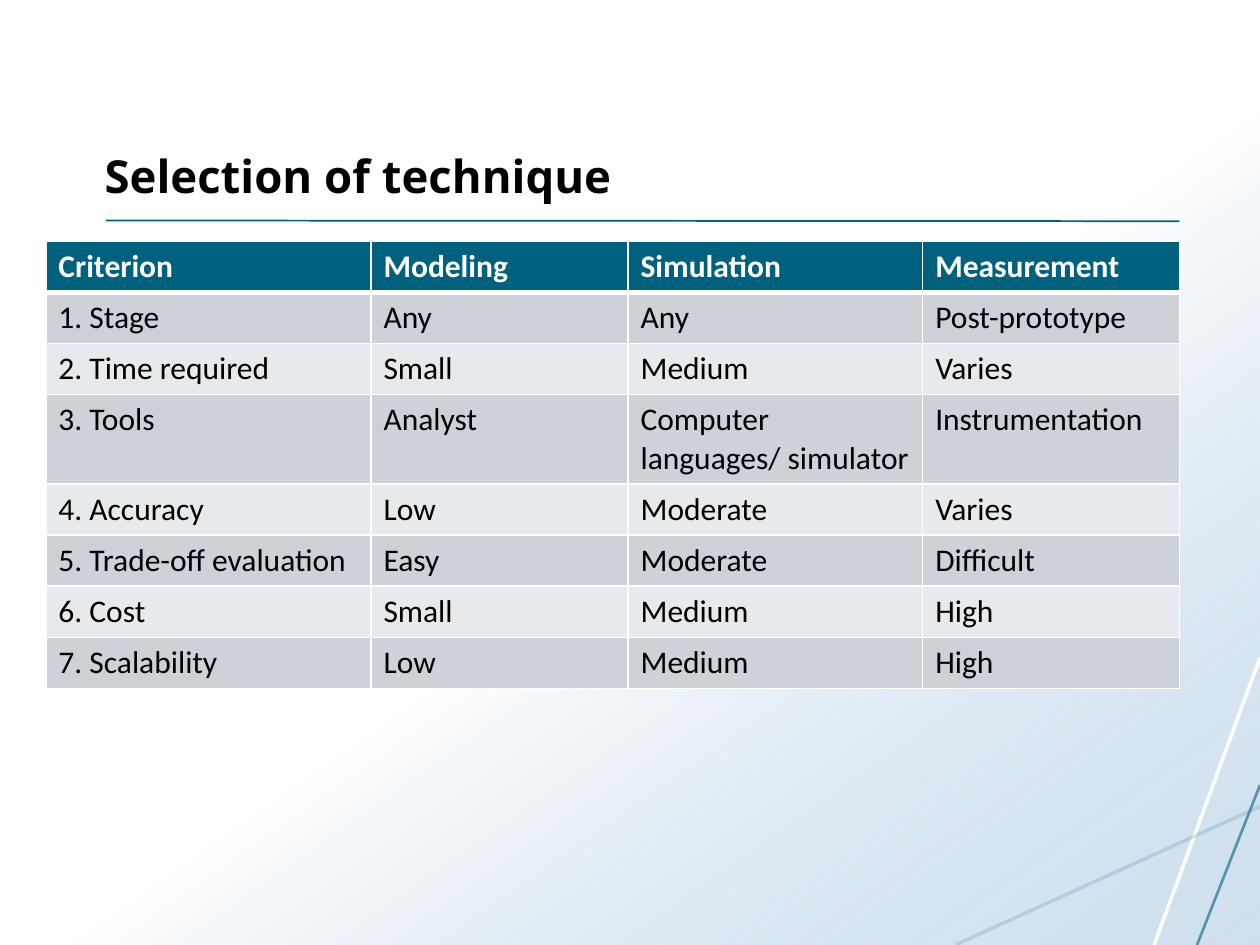
from lxml import etree
from pptx import Presentation
from pptx.dml.color import RGBColor
from pptx.enum.shapes import MSO_CONNECTOR, MSO_SHAPE
from pptx.enum.text import MSO_ANCHOR, MSO_AUTO_SIZE, PP_ALIGN
from pptx.oxml.ns import qn
from pptx.util import Pt

STRAIGHT = MSO_CONNECTOR.STRAIGHT
RECT = MSO_SHAPE.RECTANGLE
BOTTOM = MSO_ANCHOR.BOTTOM
NO_FIT = MSO_AUTO_SIZE.NONE
LEFT = PP_ALIGN.LEFT

WIDE, HIGH = 720, 540
TEAL, WHITE, BLACK = "00617F", "FFFFFF", "000000"
BANDS = ["E7EAEC", "CCD2D8"]
TITLE = "Selection of technique"
ROWS = [
    ("Criterion", "Modeling", "Simulation", "Measurement"),
    ("1. Stage", "Any", "Any", "Post-prototype"),
    ("2. Time required", "Small", "Medium", "Varies"),
    ("3. Tools", "Analyst", "Computer languages/ simulator", "Instrumentation"),
    ("4. Accuracy", "Low", "Moderate", "Varies"),
    ("5. Trade-off evaluation", "Easy", "Moderate", "Difficult"),
    ("6. Cost", "Small", "Medium", "High"),
    ("7. Scalability", "Low", "Medium", "High"),
]
COLS = [185.8, 146.9, 168.4, 146.9]
ROW, TALL = 29.2, 51.2
TALL_ROW = 3
LINES = [
    (720, 375.8, 659.5, 540, WHITE, 2, 100),
    (720, 460.8, 545.8, 540, "15718F", 2, 16),
    (720, 448.6, 684, 540, TEAL, 1.5, 60),
    (60.5, 126, 673.9, 126.4, TEAL, 1, 100),
]


def color(code):
    return RGBColor.from_string(code)


def fade(node, share):
    etree.SubElement(node, qn("a:alpha"), val=str(share * 1000))


def add_back(slide):
    back = slide.shapes.add_shape(RECT, 0, 0, Pt(WIDE), Pt(HIGH))
    back.shadow.inherit = False
    back.line.fill.background()
    back.fill.gradient()
    back.fill.gradient_angle = 360 - 55
    stops = zip(back.fill.gradient_stops, [(0.54, WHITE), (1, "A9C7E0")])
    for stop, (place, code) in stops:
        stop.position = place
        stop.color.rgb = color(code)
    fade(back.element.xpath(".//a:gs/a:srgbClr")[-1], 54)


def add_line(slide, x1, y1, x2, y2, code, width, share):
    line = slide.shapes.add_connector(STRAIGHT, Pt(x1), Pt(y1), Pt(x2), Pt(y2))
    line.line.color.rgb = color(code)
    line.line.width = Pt(width)
    if share < 100:
        fade(line.element.xpath(".//a:ln//a:srgbClr")[0], share)
    etree.SubElement(line.element.spPr, qn("a:effectLst"))


def style(par, font, size, code, bold):
    par.font.name = font
    par.font.size = Pt(size)
    par.font.color.rgb = color(code)
    par.font.bold = bold


def set_title(slide):
    title = slide.shapes.title
    title.left, title.top = Pt(52.6), Pt(23.8)
    title.width, title.height = Pt(620.6), Pt(95.8)
    frame = title.text_frame
    frame.text = TITLE
    frame.auto_size = NO_FIT
    frame.vertical_anchor = BOTTOM
    par = frame.paragraphs[0]
    par.alignment = LEFT
    style(par, "Open Sans", 26, BLACK, True)
    title.element.getparent().append(title.element)


def set_edges(cell, top, bottom):
    props = cell._tc.get_or_add_tcPr()
    edges = [("L", 1), ("R", 1), ("T", top), ("B", bottom)]
    for spot, (side, width) in enumerate(edges):
        edge = etree.Element(qn(f"a:ln{side}"), w=str(Pt(width)))
        solid = etree.SubElement(edge, qn("a:solidFill"))
        etree.SubElement(solid, qn("a:srgbClr"), val=WHITE)
        props.insert(spot, edge)


def add_grid(slide):
    high = ROW * (len(ROWS) - 1) + TALL
    grid = slide.shapes.add_table(len(ROWS), len(COLS), Pt(26.2), Pt(137.8),
                                  Pt(sum(COLS)), Pt(high)).table
    for col, width in zip(grid.columns, COLS):
        col.width = Pt(width)
    for r, texts in enumerate(ROWS):
        head = r == 0
        grid.rows[r].height = Pt(TALL if r == TALL_ROW else ROW)
        for c, text in enumerate(texts):
            cell = grid.cell(r, c)
            cell.text = text
            cell.fill.solid()
            cell.fill.fore_color.rgb = color(TEAL if head else BANDS[r % 2])
            style(cell.text_frame.paragraphs[0], "Calibri", 18,
                  WHITE if head else BLACK, head)
            set_edges(cell, 3 if r == 1 else 1, 3 if head else 1)


def main():
    deck = Presentation()
    deck.slide_width, deck.slide_height = Pt(WIDE), Pt(HIGH)
    slide = deck.slides.add_slide(deck.slide_layouts[5])
    add_back(slide)
    for line in LINES:
        add_line(slide, *line)
    set_title(slide)
    add_grid(slide)
    deck.save("out.pptx")


if __name__ == "__main__":
    main()
